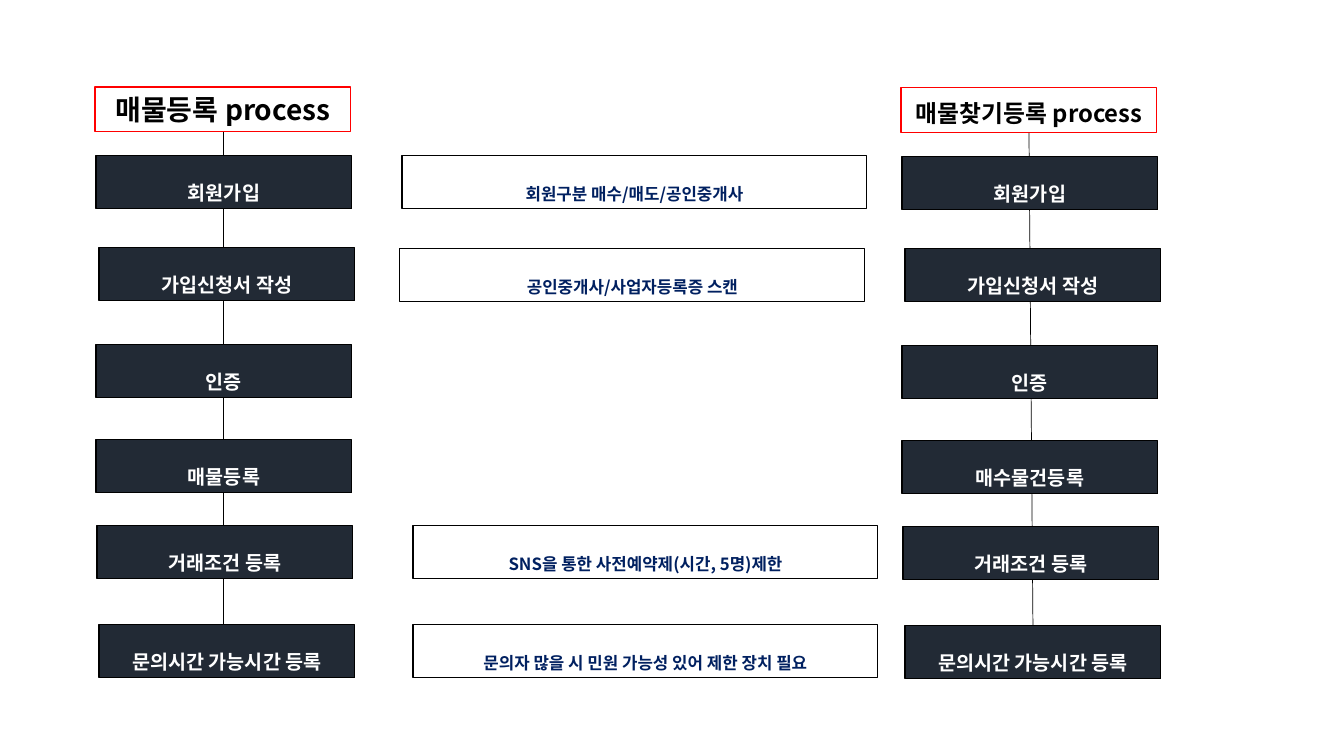
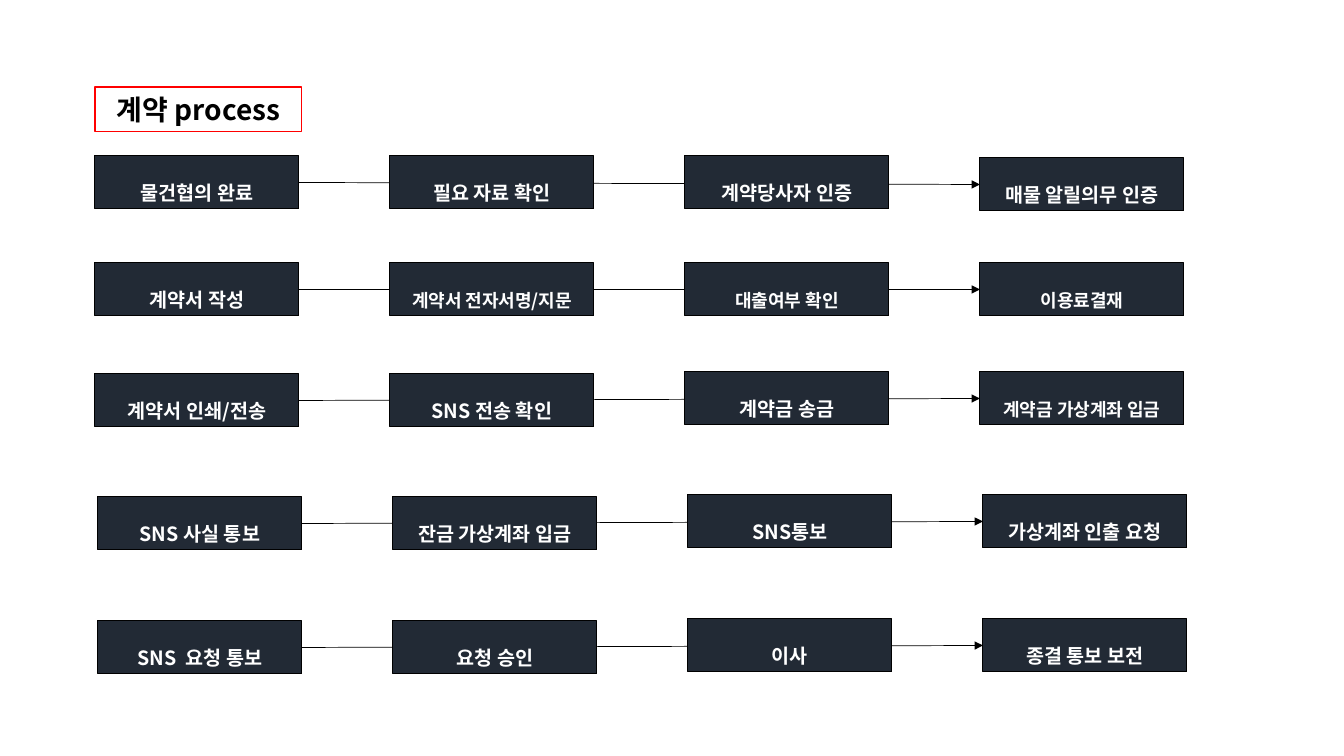
from pptx import Presentation
from pptx.dml.color import RGBColor
from pptx.enum.shapes import MSO_CONNECTOR, MSO_SHAPE
from pptx.enum.text import MSO_ANCHOR, MSO_AUTO_SIZE, PP_ALIGN
from pptx.oxml.ns import qn
from pptx.util import Emu, Pt
from lxml import etree

RECTANGLE = MSO_SHAPE.RECTANGLE
STRAIGHT = MSO_CONNECTOR.STRAIGHT
CENTER = PP_ALIGN.CENTER
BOTTOM = MSO_ANCHOR.BOTTOM
NO_AUTOFIT = MSO_AUTO_SIZE.NONE
SIDE_TOP, SIDE_LEFT, SIDE_BOTTOM, SIDE_RIGHT = range(4)

EMU_PER_PX = 914400 / 100.8
SLIDE_WIDTH, SLIDE_HEIGHT = 1344, 756
TITLE_ONLY = 5
FONT = "Noto Sans CJK KR"
BLACK, WHITE, RED, NAVY, SLATE = "000000", "FFFFFF", "FF0000", "002060", "222A35"

HEADING_HEIGHT, STEP_HEIGHT = 45, 53
COLUMN_WIDTH, NOTE_WIDTH = 256, 465
ROW_STEP_WIDTH, ROW_PITCH = 204, 295

TITLE = {"fill": WHITE, "border": RED, "color": BLACK, "size": 20, "spacing": 0.9, "wrap": False}
SIDE_HEADING = TITLE | {"fill": None, "size": 17}
STEP = {"fill": SLATE, "border": BLACK, "color": WHITE, "size": 14, "spacing": 1.5, "wrap": True}
STEP_SMALL = STEP | {"size": 12.9}
STEP_SMALL_LOW = STEP_SMALL | {"spacing": 1.9}
NOTE = STEP | {"fill": None, "color": NAVY, "size": 12}
NOTE_LOW = NOTE | {"spacing": 2.0}

# Offsets of the six steps from the corner of their column
COLUMN_OFFSETS = [(1, 69), (4, 161), (1, 258), (1, 353), (2, 439), (4, 538)]
LISTING_STEPS = ["회원가입", "가입신청서 작성", "인증", "매물등록", "거래조건 등록",
                 "문의시간 가능시간 등록"]
SEARCH_STEPS = ["회원가입", "가입신청서 작성", "인증", "매수물건등록", "거래조건 등록",
                "문의시간 가능시간 등록"]
NOTES = [
    (402, 156, "회원구분 매수/매도/공인중개사", NOTE),
    (400, 249, "공인중개사/사업자등록증 스캔", NOTE),
    (413, 526, "SNS을 통한 사전예약제(시간, 5명)제한", NOTE_LOW),
    (413, 625, "문의자 많을 시 민원 가능성 있어 제한 장치 필요", NOTE_LOW),
]

LEVEL, LAST_LOWER, LAST_TWO_HIGHER = (0, 0, 0, 0), (0, 0, 0, 2), (0, 0, -2, -2)
CONTRACT_ROWS = [
    (95, 156, LAST_LOWER, [("물건협의 완료", STEP), ("필요 자료 확인", STEP),
                           ("계약당사자 인증", STEP), ("매물 알릴의무 인증", STEP)]),
    (95, 263, LEVEL, [("계약서 작성", STEP), ("계약서 전자서명/지문", STEP_SMALL),
                      ("대출여부 확인", STEP_SMALL_LOW), ("이용료결재", STEP_SMALL_LOW)]),
    (95, 374, LAST_TWO_HIGHER, [("계약서 인쇄/전송", STEP), ("SNS 전송 확인", STEP),
                                ("계약금 송금", STEP), ("계약금 가상계좌 입금", STEP_SMALL)]),
    (98, 497, LAST_TWO_HIGHER, [("SNS 사실 통보", STEP), ("잔금 가상계좌 입금", STEP),
                                ("SNS통보", STEP), ("가상계좌 인출 요청", STEP)]),
    (98, 621, LAST_TWO_HIGHER, [("SNS  요청 통보", STEP), ("요청 승인", STEP),
                                ("이사", STEP), ("종결 통보 보전", STEP)]),
]


def px(length):
    return Emu(round(length * EMU_PER_PX))


def rgb(value):
    return RGBColor.from_string(value)


def set_attributes(target, values):
    for name, value in values.items():
        setattr(target, name, value)


def format_box(box, text, style):
    if style["fill"]:
        box.fill.solid()
        box.fill.fore_color.rgb = rgb(style["fill"])
    else:
        box.fill.background()
    box.line.color.rgb = rgb(style["border"])
    box.line.width = Pt(0.75)
    frame = box.text_frame
    set_attributes(frame, {"word_wrap": style["wrap"], "auto_size": NO_AUTOFIT,
                           "vertical_anchor": BOTTOM})
    paragraph = frame.paragraphs[0]
    set_attributes(paragraph, {"alignment": CENTER, "line_spacing": style["spacing"]})
    run = paragraph.add_run()
    run.text = text
    set_attributes(run.font, {"name": FONT, "size": Pt(style["size"]), "bold": True})
    run.font.color.rgb = rgb(style["color"])
    east_asian = etree.SubElement(run._r.get_or_add_rPr(), qn("a:ea"))
    east_asian.set("typeface", FONT)


def add_box(slide, left, top, width, height, text, style):
    box = slide.shapes.add_shape(RECTANGLE, px(left), px(top), px(width), px(height))
    box.shadow.inherit = False
    format_box(box, text, style)
    return box


def place_title(slide, left, top, width, text):
    title = slide.shapes.title
    set_attributes(title, {"left": px(left), "top": px(top), "width": px(width),
                           "height": px(HEADING_HEIGHT)})
    format_box(title, text, TITLE)
    return title


def add_line(slide, start, end, arrow=False):
    line = slide.shapes.add_connector(STRAIGHT, *map(px, start + end))
    line.line.color.rgb = rgb(BLACK)
    line.line.width = Pt(0.5)
    if arrow:
        etree.SubElement(line.line._get_or_add_ln(), qn("a:tailEnd")).set("type", "triangle")
    etree.SubElement(line._element.spPr, qn("a:effectLst"))
    return line


def add_step_column(slide, left, top, heading, steps, join_last):
    """Stack steps under a heading; the line behind is upright unless joined to the last step."""
    center = left + COLUMN_WIDTH / 2
    spine_end = top + COLUMN_OFFSETS[-1][1] + STEP_HEIGHT
    spine = add_line(slide, (center, top + HEADING_HEIGHT), (center, spine_end))
    spine.begin_connect(heading, SIDE_BOTTOM)
    for (dx, dy), text in zip(COLUMN_OFFSETS, steps):
        step = add_box(slide, left + dx, top + dy, COLUMN_WIDTH, STEP_HEIGHT, text, STEP)
    if join_last:
        spine.end_connect(step, SIDE_TOP)


def add_step_row(slide, left, top, drops, steps):
    """Set steps side by side, each lowered by its drop, with one arrow behind them."""
    middle = top + STEP_HEIGHT / 2
    arrow = add_line(slide, (left + ROW_STEP_WIDTH, middle),
                     (left + ROW_PITCH * (len(steps) - 1), middle), arrow=True)
    boxes = [add_box(slide, left + ROW_PITCH * i, top + drop, ROW_STEP_WIDTH, STEP_HEIGHT,
                     text, style)
             for i, (drop, (text, style)) in enumerate(zip(drops, steps))]
    arrow.begin_connect(boxes[0], SIDE_RIGHT)
    arrow.end_connect(boxes[-1], SIDE_LEFT)


def add_registration_slide(deck):
    slide = deck.slides.add_slide(deck.slide_layouts[TITLE_ONLY])
    title = place_title(slide, 95, 87, COLUMN_WIDTH, "매물등록 process")
    add_step_column(slide, 95, 87, title, LISTING_STEPS, join_last=False)
    search_heading = add_box(slide, 901, 88, COLUMN_WIDTH, HEADING_HEIGHT,
                             "매물찾기등록 process", SIDE_HEADING)
    add_step_column(slide, 901, 88, search_heading, SEARCH_STEPS, join_last=True)
    for left, top, text, style in NOTES:
        add_box(slide, left, top, NOTE_WIDTH, STEP_HEIGHT, text, style)


def add_contract_slide(deck):
    slide = deck.slides.add_slide(deck.slide_layouts[TITLE_ONLY])
    place_title(slide, 95, 87, 207, "계약 process")
    for row in CONTRACT_ROWS:
        add_step_row(slide, *row)


def main():
    deck = Presentation()
    set_attributes(deck, {"slide_width": px(SLIDE_WIDTH), "slide_height": px(SLIDE_HEIGHT)})
    add_registration_slide(deck)
    add_contract_slide(deck)
    deck.save("out.pptx")


if __name__ == "__main__":
    main()
